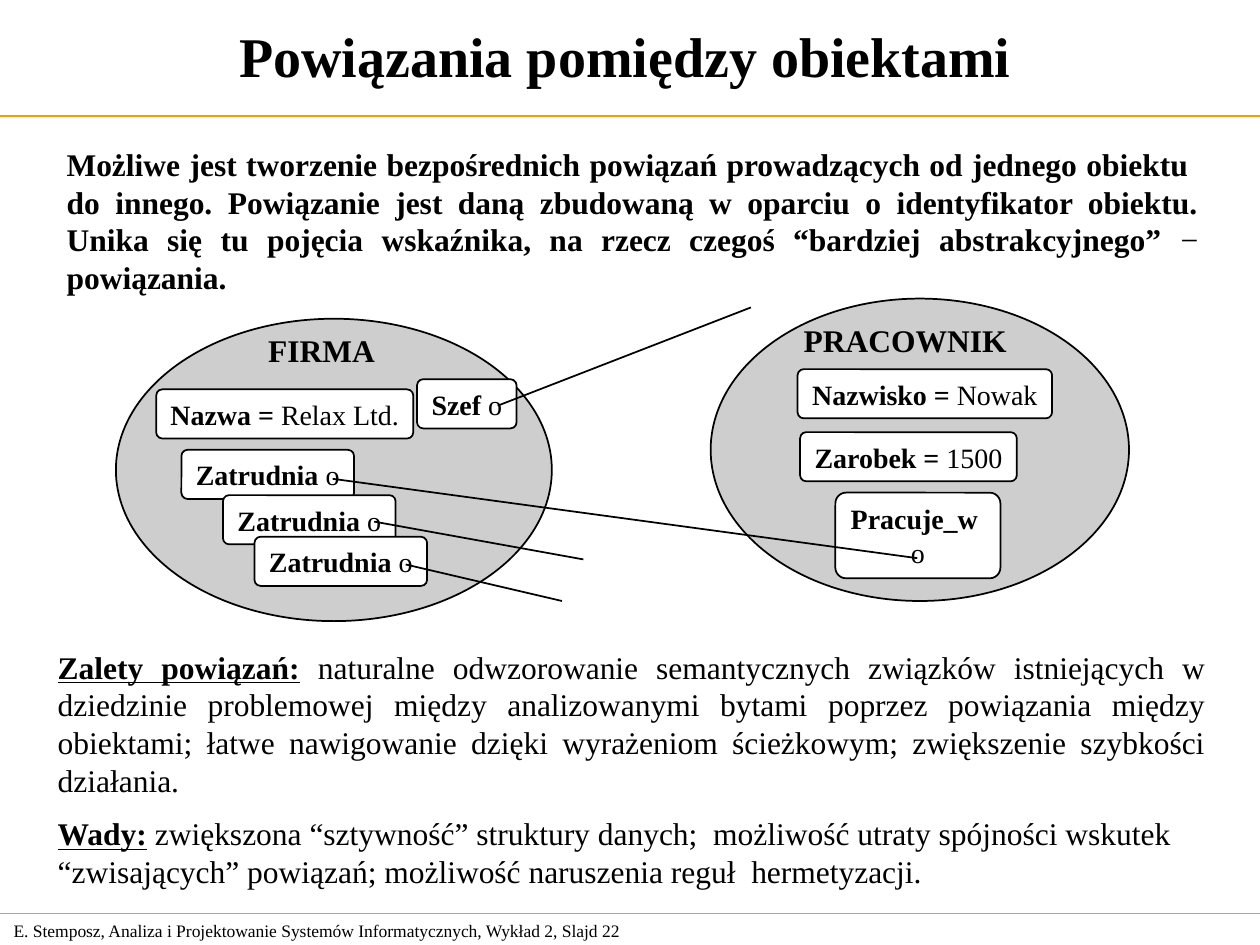
"""Build a slide on links between objects."""
from pptx import Presentation
from pptx.dml.color import RGBColor
from pptx.enum.shapes import MSO_CONNECTOR as Conn, MSO_SHAPE as Kind
from pptx.enum.text import MSO_ANCHOR as Anchor, PP_ALIGN as Align
from pptx.oxml.ns import qn
from pptx.util import Inches, Pt

FONT = "Times New Roman"
BLACK, WHITE, GRAY, ORANGE = "000000", "FFFFFF", "CECECE", "FF9900"


def paint(form, code):
    """Give a fill, line or font format a solid colour."""
    if hasattr(form, "solid"):
        form.solid()
        form.fore_color.rgb = RGBColor.from_string(code)
    else:
        form.color.rgb = RGBColor.from_string(code)


def write(frame, paras, size, align=Align.LEFT, wrap=True, gap=0):
    """Write paragraphs of (text, style) runs, where b is bold and u underlined."""
    frame.word_wrap = wrap
    for i, runs in enumerate(paras):
        para = frame.add_paragraph() if i else frame.paragraphs[0]
        para.alignment = align[i] if isinstance(align, list) else align
        para.space_before = Pt(gap if i else 0)
        for text, style in runs:
            run = para.add_run()
            run.text = text
            font = run.font
            font.name, font.size = FONT, Pt(size)
            font.bold, font.underline = "b" in style, "u" in style
            paint(font, BLACK)


def add_text(slide, spot, paras, size, anchor=Anchor.TOP, **opts):
    """Add a text box."""
    frame = slide.shapes.add_textbox(*map(Inches, spot)).text_frame
    frame.vertical_anchor = anchor
    write(frame, paras, size, **opts)


def add_form(slide, kind, spot, fill):
    """Add an outlined preset shape."""
    form = slide.shapes.add_shape(kind, *map(Inches, spot))
    form.shadow.inherit = False
    paint(form.fill, fill)
    paint(form.line, BLACK)
    form.line.width = Pt(1)
    return form


def add_field(slide, spot, *paras):
    """Add a rounded box that shows one attribute."""
    form = add_form(slide, Kind.ROUNDED_RECTANGLE, spot, WHITE)
    form.adjustments[0] = 0.125
    form.text_frame.vertical_anchor = Anchor.TOP
    write(form.text_frame, paras, 16, align=Align.CENTER, wrap=False)


def add_class(slide, oval, label, name):
    """Add an object oval with its class name."""
    add_form(slide, Kind.OVAL, oval, GRAY)
    add_text(slide, label, [[(name, "b")]], 18, wrap=False)


def add_line(slide, ends, code=BLACK, width=1):
    """Add a straight line."""
    line = slide.shapes.add_connector(Conn.STRAIGHT, *map(Inches, ends))
    paint(line.line, code)
    line.line.width = Pt(width)
    props = line._element.spPr
    props.append(props.makeelement(qn("a:effectLst"), {}))


def main():
    """Build and save the slide."""
    deck = Presentation()
    deck.slide_width, deck.slide_height = Inches(10), Inches(7.5)
    slide = deck.slides.add_slide(deck.slide_layouts[6])

    add_text(slide, (0.01, 7.25, 5.24, 0.27), [[(
        "E. Stemposz, Analiza i Projektowanie Systemów Informatycznych, "
        "Wykład 2, Slajd 22", "")]], 10, Anchor.MIDDLE)
    for y in (0.92, 7.25):
        add_line(slide, (0, y, 10, y), ORANGE, 0.75)
    add_text(slide, (0, 0.01, 9.93, 0.85),
             [[("Powiązania pomiędzy obiektami", "b")]], 32,
             Anchor.MIDDLE, align=Align.CENTER)
    add_text(slide, (0.43, 1.1, 9.18, 1.3), [[
        ("Możliwe jest tworzenie bezpośrednich powiązań prowadzących od "
         "jednego obiektu  do innego. Powiązanie jest daną zbudowaną w "
         "oparciu o identyfikator obiektu. Unika się tu pojęcia wskaźnika, "
         "na rzecz czegoś “bardziej abstrakcyjnego” ", "b"),
        ("− ", ""), ("powiązania.", "b")]], 18, align=Align.JUSTIFY)

    add_class(slide, (5.64, 2.37, 3.32, 2.4), (6.28, 2.5, 1.81, 0.4),
              "PRACOWNIK")
    add_class(slide, (0.92, 2.53, 3.46, 2.4), (2.03, 2.58, 1.05, 0.4),
              "FIRMA")
    fields = [
        (6.33, 2.93, 2.02, "Nazwisko = ", "Nowak"),
        (6.35, 3.43, 1.72, "Zarobek = ", "1500"),
        (1.24, 3.09, 2.04, "Nazwa = ", "Relax Ltd."),
        (3.31, 3.01, 0.79, "Szef ", "o"),
        (1.44, 3.57, 1.37, "Zatrudnia ", "o"),
        (1.77, 3.93, 1.37, "Zatrudnia ", "o"),
        (2.02, 4.26, 1.37, "Zatrudnia ", "o"),
    ]
    for x, y, wide, name, value in fields:
        add_field(slide, (x, y, wide, 0.39), [(name, "b"), (value, "")])
    add_field(slide, (6.63, 3.91, 1.31, 0.68),
              [("Pracuje_w ", "b")], [("o", "")])
    for ends in ((3.95, 3.22, 5.96, 2.44), (2.97, 4.14, 4.63, 4.44),
                 (3.22, 4.48, 4.46, 4.77), (2.64, 3.8, 7.28, 4.43)):
        add_line(slide, ends)

    add_text(slide, (0.36, 5.09, 9.31, 2.03), [
        [("Zalety powiązań:", "bu"), (" ", "b"),
         ("naturalne odwzorowanie semantycznych związków istniejących w "
          "dziedzinie problemowej między analizowanymi bytami poprzez "
          "powiązania między obiektami; łatwe nawigowanie dzięki wyrażeniom "
          "ścieżkowym; zwiększenie szybkości działania.", "")],
        [("Wady:", "bu"),
         (" zwiększona “sztywność” struktury danych;  możliwość utraty "
          "spójności wskutek “zwisających” powiązań; możliwość naruszenia "
          "reguł  hermetyzacji.", "")],
    ], 18, align=[Align.JUSTIFY, Align.LEFT], gap=9)

    deck.save("out.pptx")


if __name__ == "__main__":
    main()
